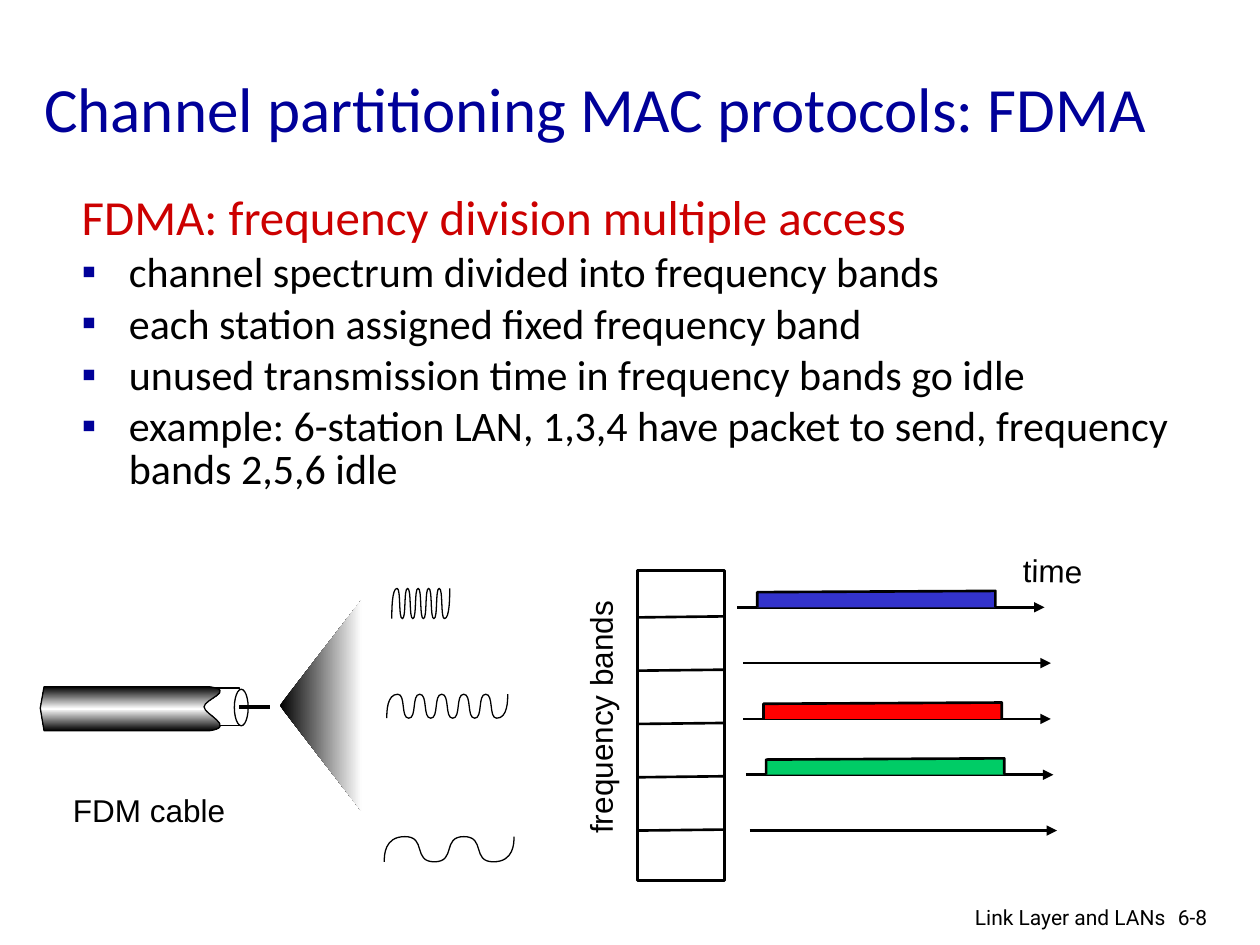
from copy import deepcopy
from dataclasses import dataclass

from pptx import Presentation
from pptx.dml.color import RGBColor
from pptx.enum.shapes import MSO_CONNECTOR, MSO_SHAPE
from pptx.enum.text import MSO_ANCHOR, MSO_AUTO_SIZE, PP_ALIGN
from pptx.oxml.ns import qn
from pptx.oxml.xmlchemy import OxmlElement
from pptx.util import Inches, Pt

RECT, OVAL = MSO_SHAPE.RECTANGLE, MSO_SHAPE.OVAL
LINE = MSO_CONNECTOR.STRAIGHT
MIDDLE = MSO_ANCHOR.MIDDLE
FIXED, GROW = MSO_AUTO_SIZE.NONE, MSO_AUTO_SIZE.SHAPE_TO_FIT_TEXT
LEFT, RIGHT = PP_ALIGN.LEFT, PP_ALIGN.RIGHT
COLS, ROWS = 100, 75
CELL = Inches(0.1)


@dataclass(frozen=True)
class Theme:
    """Colours, fonts, type sizes and line widths of the slide."""
    navy: str = "000099"
    crimson: str = "CC0000"
    black: str = "000000"
    white: str = "FFFFFF"
    blue: str = "3333CC"
    red: str = "FF0000"
    green: str = "00CC66"
    main: str = "Calibri"
    label: str = "Arial"
    foot: str = "Roboto"
    title: int = 36
    lead: int = 28
    body: int = 24
    note: int = 18
    small: int = 12
    hang: int = 27
    thin: float = 0.75
    mid: float = 1.5
    thick: float = 2.25


T = Theme()


@dataclass(frozen=True)
class Box:
    """A region measured in grid cells."""
    x: float
    y: float
    w: float
    h: float

    def sub(self, x, y, w, h):
        """Return a box placed relative to this one."""
        return Box(self.x + x, self.y + y, w, h)

    def dot(self, x, y):
        """Return a point of this box in slide units."""
        return round((self.x + x) * CELL), round((self.y + y) * CELL)

    def frame(self):
        """Return left, top, width and height in slide units."""
        return (*self.dot(0, 0), round(self.w * CELL), round(self.h * CELL))


def rgb(hue):
    """Turn a hex string into a colour."""
    return RGBColor.from_string(hue)


def style(para, face, size, hue):
    """Set the font of every run in a paragraph."""
    for run in para.runs:
        run.font.name, run.font.size = face, Pt(size)
        run.font.color.rgb = rgb(hue)


def write(slide, box, text, face, size, align=LEFT, wrap=False, turn=0):
    """Add a one-line text box."""
    shape = slide.shapes.add_textbox(*box.frame())
    shape.rotation = turn
    frame = shape.text_frame
    frame.text = text
    frame.word_wrap = wrap
    frame.auto_size = FIXED if wrap else GROW
    frame.paragraphs[0].alignment = align
    style(frame.paragraphs[0], face, size, T.black)


def paint(shape, fill=None, width=None):
    """Give a shape a plain fill and a black outline, or none."""
    shape.shadow.inherit = False
    if fill:
        shape.fill.solid()
        shape.fill.fore_color.rgb = rgb(fill)
    else:
        shape.fill.background()
    if width:
        shape.line.color.rgb = rgb(T.black)
        shape.line.width = Pt(width)
    else:
        shape.line.fill.background()


def shade(shape, angle, hues):
    """Fill a shape with evenly spaced gradient stops."""
    shape.fill.gradient()
    shape.fill.gradient_angle = angle
    group = shape.element.spPr.find(".//" + qn("a:gsLst"))
    for _ in hues[2:]:
        group.append(deepcopy(group[0]))
    for i, (stop, hue) in enumerate(zip(shape.fill.gradient_stops, hues)):
        stop.color.rgb = rgb(hue)
        stop.position = i / (len(hues) - 1)


def solid(slide, kind, box, fill, width):
    """Add a preset shape."""
    paint(slide.shapes.add_shape(kind, *box.frame()), fill, width)


def stroke(slide, box, start, end, width, arrow=False):
    """Add a straight line between two points of a box."""
    line = slide.shapes.add_connector(LINE, *box.dot(*start), *box.dot(*end))
    line.line.color.rgb = rgb(T.black)
    line.line.width = Pt(width)
    if arrow:
        tip = OxmlElement("a:tailEnd")
        tip.set("type", "triangle")
        line.element.spPr.find(qn("a:ln")).append(tip)
    line.element.spPr.append(OxmlElement("a:effectLst"))


def trace(slide, box, dots, close=False, bends=()):
    """Add an outline whose segments in bends merge by threes into curves."""
    spots = [box.dot(*dot) for dot in dots]
    pen = slide.shapes.build_freeform(*spots[0], scale=1.0)
    pen.add_line_segments(spots[1:], close=close)
    shape = pen.convert_to_shape()
    path = shape.element.spPr.find(".//" + qn("a:path"))
    legs = path.findall(qn("a:lnTo"))
    for i in bends:
        curve = OxmlElement("a:cubicBezTo")
        legs[i].addprevious(curve)
        for leg in legs[i:i + 3]:
            curve.append(leg[0])
            path.remove(leg)
    return shape


def wave(slide, box, count, edge=1.0):
    """Draw a wave of half swings that fills a box, starting low."""
    step = box.w / (count - 2 + 2 * edge)
    xs = [0, *(step * (edge + i) for i in range(count - 1)), box.w]
    knots = [(x, 0 if i % 2 else box.h) for i, x in enumerate(xs)]
    dots = knots[:1]
    for (x, y), (u, v) in zip(knots, knots[1:]):
        lead, tail = (x + 0.75 * (u - x), y), (x + 0.25 * (u - x), v)
        if x == 0:
            lead, tail = (x, 0.75 * y), (x, v)
        elif u == box.w:
            lead, tail = (u, y), (u, (y + 3 * v) / 4)
        dots += [lead, tail, (u, v)]
    bends = range(0, 3 * count, 3)
    paint(trace(slide, box, dots, bends=bends), width=T.thin)


def heading(slide, box, text):
    """Place and format the title."""
    shape = slide.shapes.title
    shape.left, shape.top, shape.width, shape.height = box.frame()
    frame = shape.text_frame
    frame.text = text
    frame.auto_size, frame.vertical_anchor = FIXED, MIDDLE
    frame.paragraphs[0].alignment = LEFT
    style(frame.paragraphs[0], T.main, T.title, T.navy)


def mark(para):
    """Add a navy square bullet to a paragraph."""
    tint, face, sign = map(OxmlElement, ("a:buClr", "a:buFont", "a:buChar"))
    hue = OxmlElement("a:srgbClr")
    hue.set("val", T.navy)
    tint.append(hue)
    face.set("typeface", T.label)
    sign.set("char", "▪")
    para._p.get_or_add_pPr().extend([tint, face, sign])


def points(slide, box, lead, items):
    """Write a lead line and its bullets."""
    frame = slide.shapes.add_textbox(*box.frame()).text_frame
    frame.word_wrap = True
    frame.text = "\n".join([lead, *items])
    for i, para in enumerate(frame.paragraphs):
        para.line_spacing = 0.85
        props = para._p.get_or_add_pPr()
        props.set("marL", str(Pt(T.hang)))
        props.set("indent", str(-Pt(T.hang)))
        if i:
            para.space_before = Pt(4.8)
            mark(para)
        style(para, T.main, T.body if i else T.lead,
              T.black if i else T.crimson)


def bands(slide, box):
    """Draw the band stack and the time line of each band."""
    solid(slide, RECT, box.sub(0, 0, 6.9, box.h), T.white, T.mid)
    for i in range(5):
        y = 3.7 + 4.23 * i
        stroke(slide, box, (0, y), (6.9, y - 0.08), T.mid)
    starts = (7.9, 8.4, 8.4, 8.6, 8.9)
    fills = (T.blue, None, T.red, T.green, None)
    for i, (x, fill) in enumerate(zip(starts, fills)):
        y = 2.9 + 4.43 * i
        stroke(slide, box, (x, y), (x + 24.4, y), T.mid, arrow=True)
        if fill:
            a, b = x + 1.6, x + 20.5
            dots = [(a, y), (a, y - 1.2), (b, y - 1.3), (b, y)]
            paint(trace(slide, box, dots), fill, T.mid)
    write(slide, box.sub(-13.2, 9.6, 20.5, 4), "frequency bands",
          T.label, T.note, turn=270)
    write(slide, box.sub(29.6, -2, 6.7, 4), "time", T.label, T.note, turn=1.1)


def cable(slide, box):
    """Draw the cable, its fan of light and three waves."""
    fan = trace(slide, box, [(25.5, 0.9), (19, 9.3), (25.5, 17.7)], close=True)
    paint(fan)
    shade(fan, 0, (T.black, T.white))
    solid(slide, RECT, box.sub(12.9, 7.9, 2.9, 3), T.white, T.thin)
    edge = [(0.3, 7.8), (0, 9.5), (0.3, 11.3), (13.4, 11.3),
            (15.6, 11), (13, 10), (13, 9.4),
            (13, 8.8), (15.6, 8.1), (13.4, 7.8)]
    skin = trace(slide, box, edge, close=True, bends=(3, 6))
    paint(skin, width=T.thin)
    shade(skin, 90, (T.black, T.white, T.black))
    solid(slide, OVAL, box.sub(15.4, 8, 1.1, 2.9), T.white, T.thin)
    stroke(slide, box, (15.8, 9.4), (18.2, 9.4), T.thick)
    wave(slide, box.sub(27.5, 8.4, 9.6, 1.9), 11)
    wave(slide, box.sub(27.9, 0, 4.6, 2.4), 11)
    wave(slide, box.sub(27.3, 19.7, 10.3, 2), 5, edge=0.7)
    write(slide, box.sub(1.6, 15.6, 14.1, 4), "FDM cable", T.label, T.note)


def footer(slide, box):
    """Write the chapter name and the page number."""
    write(slide, box.sub(22.8, 0, 6, 3), "6-8", T.foot, T.small, wrap=True)
    write(slide, box.sub(0, 0, 23.8, 2.6), "Link Layer and LANs",
          T.foot, T.small, RIGHT, True)


def main():
    """Build the slide and save it."""
    deck = Presentation()
    deck.slide_width, deck.slide_height = COLS * CELL, ROWS * CELL
    slide = deck.slides.add_slide(deck.slide_layouts[5])
    heading(slide, Box(2.5, 2.3, 94.4, 12.5),
            "Channel partitioning MAC protocols: FDMA")
    points(slide, Box(5.5, 15, 89.9, 50.8),
           "FDMA: frequency division multiple access",
           ["channel spectrum divided into frequency bands",
            "each station assigned fixed frequency band",
            "unused transmission time in frequency bands go idle",
            "example: 6-station LAN, 1,3,4 have packet to send, "
            "frequency bands 2,5,6 idle"])
    bands(slide, Box(50.6, 45.3, 33.3, 24.6))
    cable(slide, Box(3.2, 46.7, 37.7, 21.7))
    footer(slide, Box(69.7, 71.3, 28.8, 3))
    deck.save("out.pptx")


if __name__ == "__main__":
    main()
